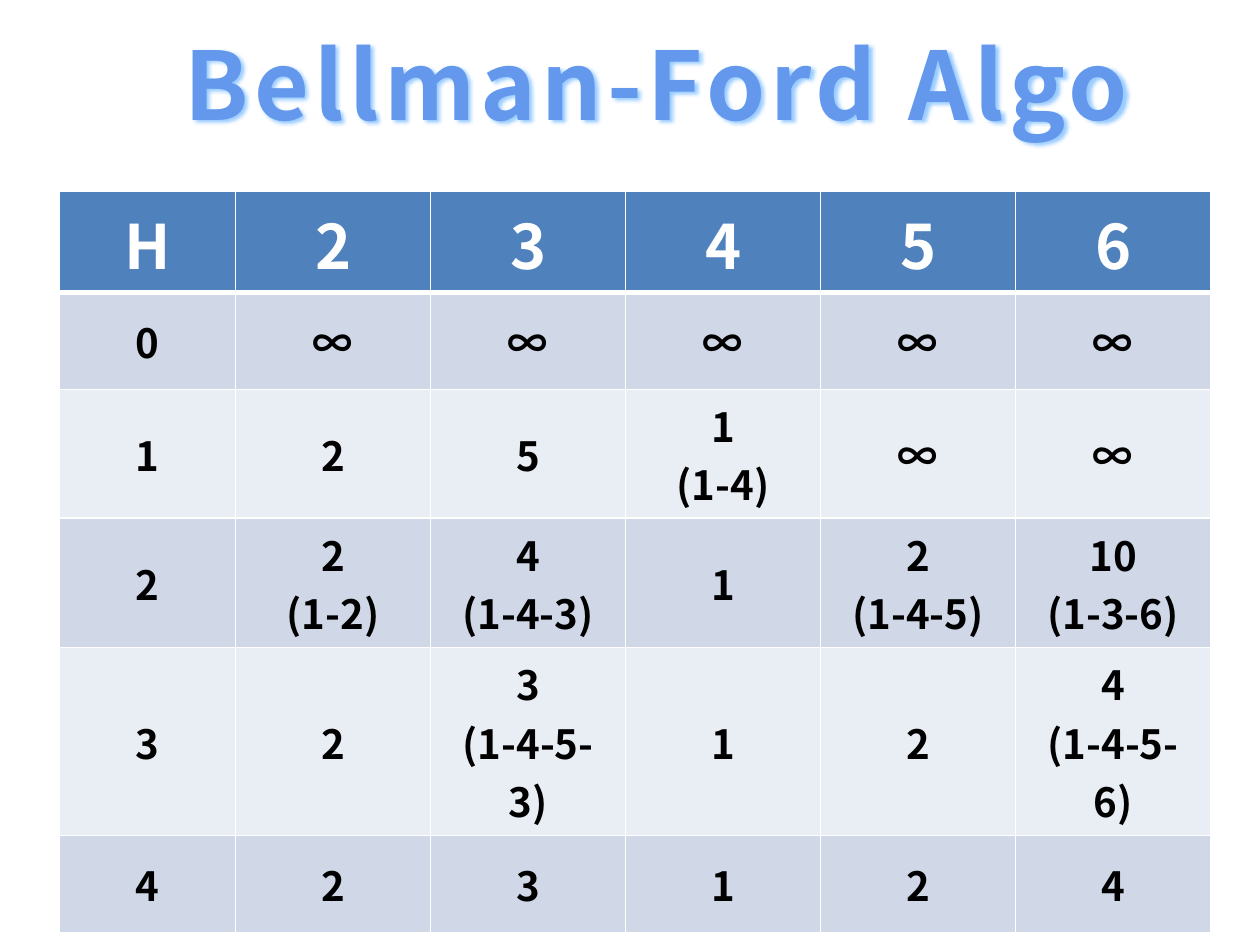
from lxml.etree import SubElement as Sub
from pptx import Presentation
from pptx.dml.color import RGBColor as RGB
from pptx.enum.text import MSO_ANCHOR as Anchor, MSO_AUTO_SIZE as Auto, PP_ALIGN as Align
from pptx.oxml.ns import qn
from pptx.util import Inches, Pt

# Content
TITLE = "Bellman-Ford Algo"
INF = "∞"
ROWS = [
    ["H", "2", "3", "4", "5", "6"],
    ["0", INF, INF, INF, INF, INF],
    ["1", "2", "5", "1\n(1-4)", INF, INF],
    ["2", "2\n(1-2)", "4\n(1-4-3)", "1", "2\n(1-4-5)", "10\n(1-3-6)"],
    ["3", "2", "3\n(1-4-5-3)", "1", "2", "4\n(1-4-5-6)"],
    ["4", "2", "3", "1", "2", "4"],
]
FONT = "Noto Sans CJK KR"
HEX = {"title": "6398ED", "glow": "99CCFF", "head": "4F81BD", "odd": "D0D8E8",
       "even": "E9EDF4", "white": "FFFFFF", "black": "000000"}
WIDE, FIRST = 9.14, 1.4
WIDTHS = [FIRST] + [(WIDE - FIRST) / 5] * 5
HEIGHTS = [0.8, 0.77, 1.02, 1.03, 1.49, 0.77]


def color(name):
    return RGB.from_string(HEX[name])


def write(frame, text, size, tint):
    for i, line in enumerate(text.split("\n")):
        para = frame.paragraphs[0] if i == 0 else frame.add_paragraph()
        para.alignment = Align.CENTER
        run = para.add_run()
        run.text = line
        font = run.font
        font.size, font.bold, font.name = Pt(size), True, FONT
        font.color.rgb = color(tint)
        for tag in ("a:ea", "a:cs"):
            Sub(run._r.rPr, qn(tag), typeface=FONT)


def border(cell, top, base):
    props = cell._tc.get_or_add_tcPr()
    sides = {"a:lnL": 1, "a:lnR": 1, "a:lnT": top, "a:lnB": base}
    for i, (tag, wide) in enumerate(sides.items()):
        line = props.makeelement(qn(tag), {"w": str(Pt(wide))})
        fill = Sub(line, qn("a:solidFill"))
        Sub(fill, qn("a:srgbClr"), val=HEX["white"])
        props.insert(i, line)


deck = Presentation()
deck.slide_width, deck.slide_height = Inches(10), Inches(7.5)
slide = deck.slides.add_slide(deck.slide_layouts[5])

# Title with a soft blue shadow
title = slide.shapes.title
title.left, title.top = Inches(1.36), Inches(0.15)
title.width, title.height = Inches(7.71), Inches(1.01)
frame = title.text_frame
frame.word_wrap, frame.auto_size = False, Auto.SHAPE_TO_FIT_TEXT
frame.vertical_anchor = Anchor.MIDDLE
write(frame, TITLE, 54, "title")
frame.paragraphs[0].runs[0]._r.rPr.set("spc", "300")
soft = Sub(Sub(title._element.spPr, qn("a:effectLst")), qn("a:outerShdw"),
           blurRad=str(Pt(2)), dist=str(Pt(1)), dir="2700000", algn="tl")
Sub(soft, qn("a:srgbClr"), val=HEX["glow"])

# Distance table
table = slide.shapes.add_table(
    len(ROWS), len(WIDTHS), Inches(0.47), Inches(1.52),
    Inches(WIDE), Inches(sum(HEIGHTS))).table
for col, wide in zip(table.columns, WIDTHS):
    col.width = Inches(wide)
for line, high in zip(table.rows, HEIGHTS):
    line.height = Inches(high)
for r, row in enumerate(ROWS):
    head = r == 0
    band = "head" if head else "odd" if r % 2 else "even"
    for c, text in enumerate(row):
        cell = table.cell(r, c)
        cell.vertical_anchor = Anchor.MIDDLE
        cell.fill.solid()
        cell.fill.fore_color.rgb = color(band)
        border(cell, 3 if r == 1 else 1, 3 if head else 1)
        write(cell.text_frame, text, 35 if head else 23, "white" if head else "black")

deck.save("out.pptx")
